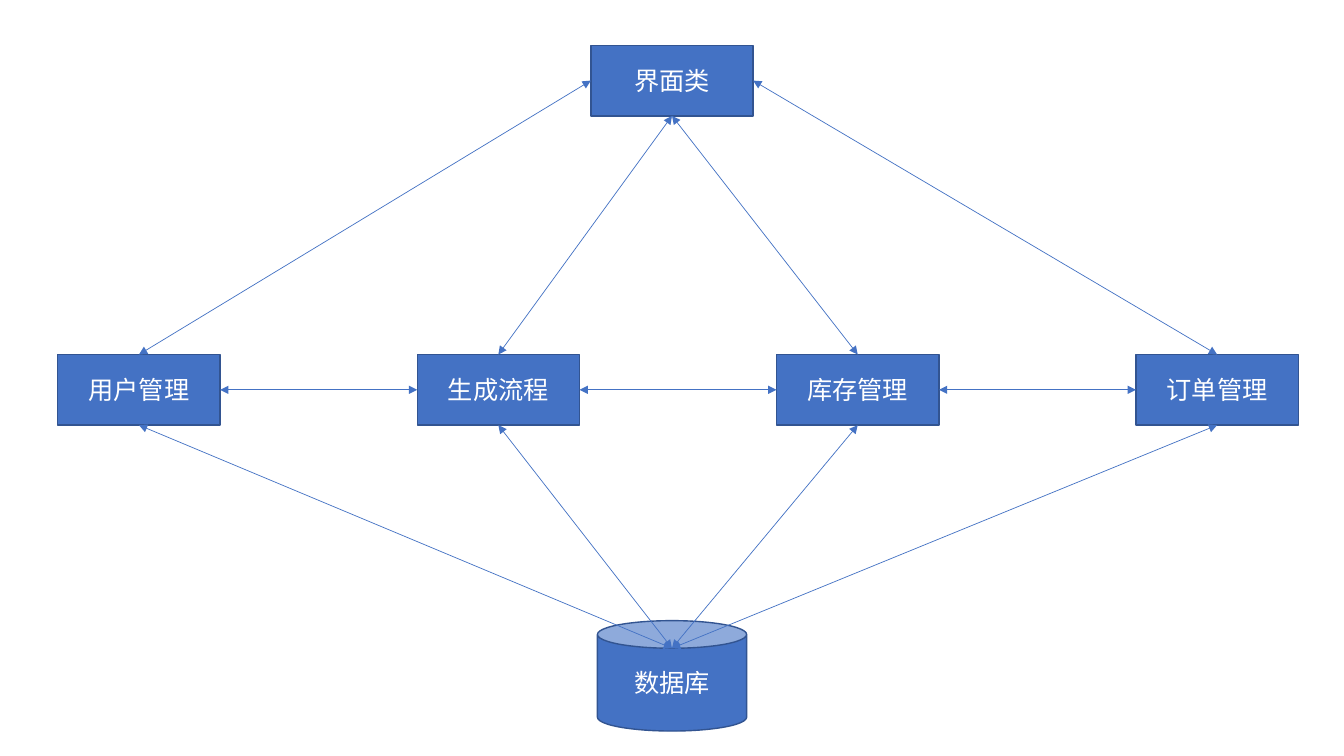
from dataclasses import dataclass
from itertools import pairwise
from lxml import etree
from pptx import Presentation
from pptx.dml.color import RGBColor
from pptx.enum.shapes import MSO_CONNECTOR, MSO_SHAPE
from pptx.enum.text import MSO_ANCHOR, PP_ALIGN
from pptx.oxml.ns import qn
from pptx.util import Inches, Pt

RECTANGLE, CAN = MSO_SHAPE.RECTANGLE, MSO_SHAPE.CAN
STRAIGHT = MSO_CONNECTOR.STRAIGHT
MIDDLE, CENTER = MSO_ANCHOR.MIDDLE, PP_ALIGN.CENTER
TOP, LEFT, BOTTOM, RIGHT = range(4)
LID_SHARE = 0.25
MANAGERS = ("用户管理", "生成流程", "库存管理", "订单管理")


@dataclass(frozen=True)
class Theme:
    """Colours, font, and sizes in points."""
    fill: RGBColor = RGBColor(0x44, 0x72, 0xC4)
    outline: RGBColor = RGBColor(0x32, 0x54, 0x91)
    text: RGBColor = RGBColor(0xFF, 0xFF, 0xFF)
    font: str = "Calibri"
    text_size: float = 18
    outline_width: float = 1
    arrow_width: float = 0.5


@dataclass(frozen=True)
class Box:
    """A rectangle in inches."""
    left: float
    top: float
    width: float
    height: float

    def centred(self, width, height):
        """Return a box of the given size in the middle of this one."""
        return Box(self.left + (self.width - width) / 2,
                   self.top + (self.height - height) / 2, width, height)


THEME = Theme()
SLIDE = Box(0, 0, 13.33, 7.5)
NODE_WIDTH, NODE_HEIGHT = 1.61, 0.7


def add_node(page, box, kind, label):
    """Draw one labelled shape that fills the box."""
    node = page.shapes.add_shape(kind, Inches(box.left), Inches(box.top),
                                 Inches(box.width), Inches(box.height))
    node.shadow.inherit = False
    node.fill.solid()
    node.fill.fore_color.rgb = THEME.fill
    node.line.color.rgb = THEME.outline
    node.line.width = Pt(THEME.outline_width)
    node.text_frame.vertical_anchor = MIDDLE
    para = node.text_frame.paragraphs[0]
    para.alignment = CENTER
    span = para.add_run()
    span.text = label
    span.font.name = THEME.font
    span.font.size = Pt(THEME.text_size)
    span.font.color.rgb = THEME.text
    return node


def add_arrow(page, start, end, end_side, start_side=None):
    """Draw a two-headed arrow from a node side, or a point, to a node side."""
    x, y = (0, 0) if start_side is not None else start
    arrow = page.shapes.add_connector(STRAIGHT, x, y, x, y)
    if start_side is not None:
        arrow.begin_connect(start, start_side)
    arrow.end_connect(end, end_side)
    arrow.line.color.rgb = THEME.fill
    arrow.line.width = Pt(THEME.arrow_width)
    outline = arrow.line._get_or_add_ln()
    for tip in ("a:headEnd", "a:tailEnd"):
        etree.SubElement(outline, qn(tip), type="triangle")
    etree.SubElement(arrow._element.spPr, qn("a:effectLst"))


def add_interface(page, box):
    """Place the interface node in the middle of its region."""
    return add_node(page, box.centred(NODE_WIDTH, NODE_HEIGHT), RECTANGLE, "界面类")


def add_managers(page, box):
    """Spread the manager nodes evenly over the row and join neighbours."""
    step = (box.width - NODE_WIDTH) / (len(MANAGERS) - 1)
    nodes = [add_node(page, Box(box.left + column * step, box.top, NODE_WIDTH, box.height),
                      RECTANGLE, label)
             for column, label in enumerate(MANAGERS)]
    for left_node, right_node in pairwise(nodes):
        add_arrow(page, left_node, right_node, LEFT, RIGHT)
    return nodes


def add_database(page, box):
    """Place the database can in the middle of its region."""
    return add_node(page, box.centred(1.48, box.height), CAN, "数据库")


def link_layers(page, interface, managers, database):
    """Join every manager to the interface above and the database below."""
    lid = (database.left + database.width // 2,
           database.top + int(LID_SHARE * database.height))
    for manager, side in zip(managers, (LEFT, BOTTOM, BOTTOM, RIGHT)):
        add_arrow(page, interface, manager, TOP, side)
        add_arrow(page, lid, manager, BOTTOM)


def build_architecture(page, box):
    """Lay out the three layers as shares of the box and link them."""
    interface = add_interface(page, Box(box.left, box.height * 0.06, box.width, NODE_HEIGHT))
    managers = add_managers(page, Box(box.width * 0.043, box.height * 0.469,
                                      box.width * 0.923, NODE_HEIGHT))
    database = add_database(page, Box(box.left, box.height * 0.821,
                                      box.width, box.height * 0.146))
    link_layers(page, interface, managers, database)


deck = Presentation()
deck.slide_width, deck.slide_height = Inches(SLIDE.width), Inches(SLIDE.height)
build_architecture(deck.slides.add_slide(deck.slide_layouts[6]), SLIDE)
deck.save("out.pptx")
